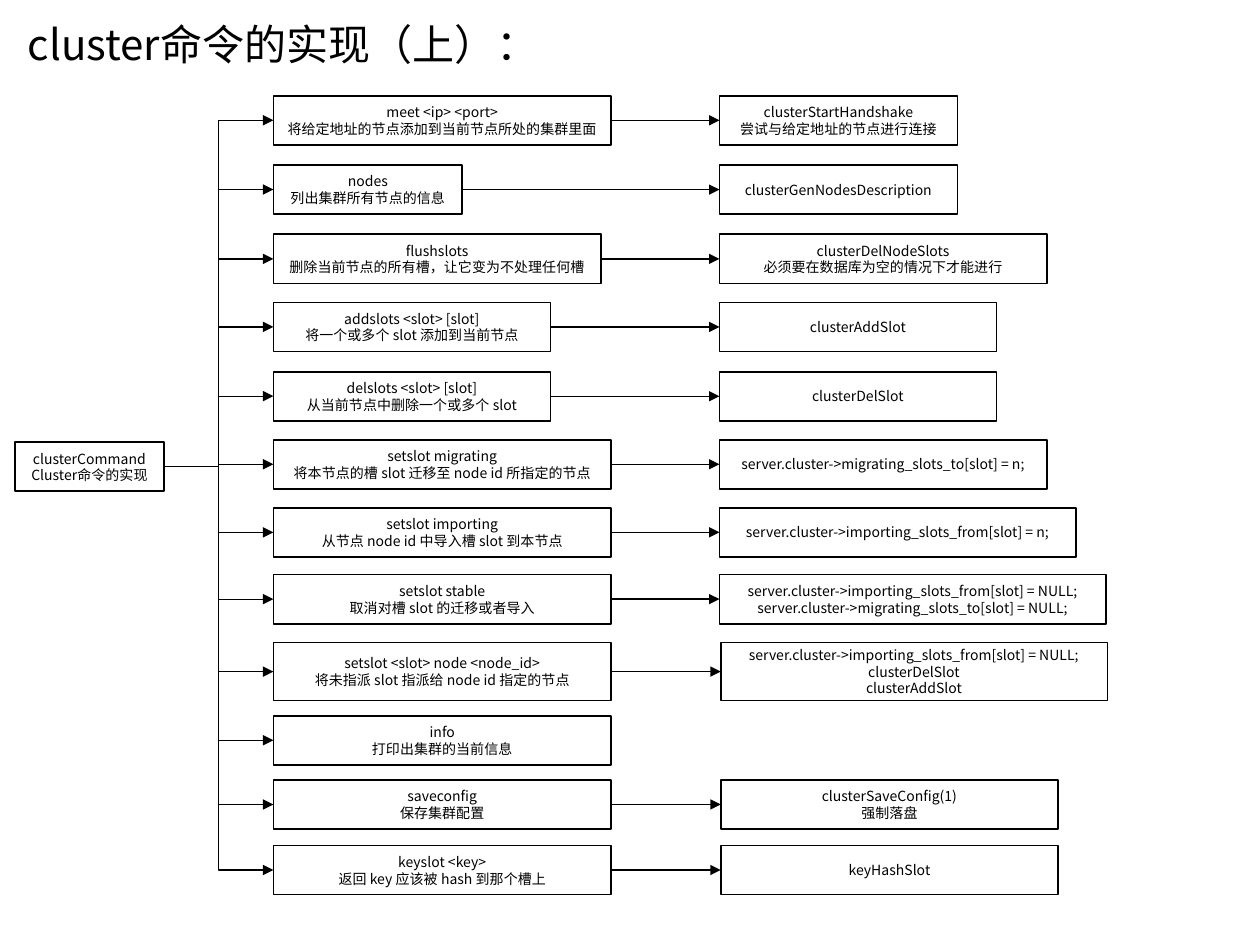
import pptx
import pptx.util
import pptx.dml.color
import pptx.enum.shapes
import pptx.enum.text
import pptx.oxml.ns
from dataclasses import dataclass
from lxml import etree
from pptx.shapes.autoshape import Shape
from pptx.slide import Slide

BLACK = pptx.dml.color.RGBColor(0, 0, 0)
WHITE = pptx.dml.color.RGBColor(255, 255, 255)
FONT = "Noto Sans CJK SC"
UNIT = pptx.util.Inches(0.1)
LEFT, RIGHT = 21.7, 57.1
HIGH, TALL = 3.9, 4.6
WEST, EAST = 1, 3
LINK = pptx.enum.shapes.MSO_CONNECTOR


@dataclass
class Node:
    width: float
    lines: list[str]


@dataclass
class Row:
    top: float
    order: Node
    action: Node | None = None
    high: float = HIGH
    right: float = RIGHT


ROWS = [
    Row(7.6, Node(26.8, ["meet <ip> <port>", "将给定地址的节点添加到当前节点所处的集群里面"]),
        Node(18.9, ["clusterStartHandshake", "尝试与给定地址的节点进行连接"])),
    Row(13.1, Node(15, ["nodes", "列出集群所有节点的信息"]),
        Node(18.9, ["clusterGenNodesDescription"])),
    Row(18.6, Node(26, ["flushslots", "删除当前节点的所有槽，让它变为不处理任何槽"]),
        Node(26, ["clusterDelNodeSlots", "必须要在数据库为空的情况下才能进行"])),
    Row(24, Node(22, ["addslots <slot> [slot]", "将一个或多个 slot 添加到当前节点"]),
        Node(22, ["clusterAddSlot"])),
    Row(29.5, Node(22, ["delslots <slot> [slot]", "从当前节点中删除一个或多个 slot"]),
        Node(22, ["clusterDelSlot"])),
    Row(34.9, Node(26.8, ["setslot migrating", "将本节点的槽 slot 迁移至 node id 所指定的节点"]),
        Node(26, ["server.cluster->migrating_slots_to[slot] = n;"])),
    Row(40.3, Node(26.8, ["setslot importing", "从节点 node id 中导入槽 slot 到本节点"]),
        Node(28.3, ["server.cluster->importing_slots_from[slot] = n;"])),
    Row(45.6, Node(26.8, ["setslot stable", "取消对槽 slot 的迁移或者导入"]),
        Node(30.7, ["server.cluster->importing_slots_from[slot] = NULL;",
                    "server.cluster->migrating_slots_to[slot] = NULL;"])),
    Row(51, Node(26.8, ["setslot <slot> node <node_id>", "将未指派 slot 指派给 node id 指定的节点"]),
        Node(30.7, ["server.cluster->importing_slots_from[slot] = NULL;",
                    "clusterDelSlot", "clusterAddSlot"]), TALL, 57.2),
    Row(56.8, Node(26.8, ["info", "打印出集群的当前信息"])),
    Row(61.9, Node(26.8, ["saveconfig", "保存集群配置"]),
        Node(26.8, ["clusterSaveConfig(1)", "强制落盘"]), right=57.2),
    Row(67.1, Node(26.8, ["keyslot <key>", "返回 key 应该被 hash 到那个槽上"]),
        Node(26.8, ["keyHashSlot"]), right=57.2),
]


def span(count: float) -> pptx.util.Emu:
    return pptx.util.Emu(round(count * UNIT))


def style(para, size: float, align) -> None:
    para.alignment = align
    para.font.size = pptx.util.Pt(size)
    para.font.name = FONT
    para.font.color.rgb = BLACK
    props = para.font._element
    east = etree.SubElement(props, pptx.oxml.ns.qn("a:ea"))
    east.set("typeface", FONT)


def draw_box(slide: Slide, left: float, top: float, high: float, node: Node) -> Shape:
    box = slide.shapes.add_shape(
        pptx.enum.shapes.MSO_SHAPE.RECTANGLE,
        span(left), span(top), span(node.width), span(high))
    box.shadow.inherit = False
    box.fill.solid()
    box.fill.fore_color.rgb = WHITE
    box.line.color.rgb = BLACK
    box.line.width = pptx.util.Pt(1)
    frame = box.text_frame
    frame.margin_left = frame.margin_right = span(0.5)
    frame.vertical_anchor = pptx.enum.text.MSO_ANCHOR.MIDDLE
    frame.text = "\n".join(node.lines)
    for para in frame.paragraphs:
        style(para, 8, pptx.enum.text.PP_ALIGN.CENTER)
    return box


def draw_link(slide: Slide, kind: LINK, start: Shape, end: Shape) -> None:
    link = slide.shapes.add_connector(kind, 0, 0, 0, 0)
    link.begin_connect(start, EAST)
    link.end_connect(end, WEST)
    link.line.color.rgb = BLACK
    link.line.width = pptx.util.Pt(0.75)
    tail = etree.SubElement(link.line._get_or_add_ln(), pptx.oxml.ns.qn("a:tailEnd"))
    tail.set("type", "triangle")
    etree.SubElement(link._element.spPr, pptx.oxml.ns.qn("a:effectLst"))


def draw_title(slide: Slide, text: str) -> None:
    title = slide.shapes.title
    title.left, title.top = span(1.2), span(1)
    title.width, title.height = span(91.3), span(5)
    frame = title.text_frame
    frame.text = text
    frame.word_wrap = True
    frame.auto_size = pptx.enum.text.MSO_AUTO_SIZE.NONE
    frame.vertical_anchor = pptx.enum.text.MSO_ANCHOR.TOP
    style(frame.paragraphs[0], 24, pptx.enum.text.PP_ALIGN.LEFT)


def main() -> None:
    deck = pptx.Presentation()
    deck.slide_width, deck.slide_height = span(100), span(75)
    slide = deck.slides.add_slide(deck.slide_layouts[5])
    draw_title(slide, "cluster命令的实现（上）：")
    root = draw_box(slide, 1.2, 35.1, HIGH, Node(11.8, ["clusterCommand", "Cluster命令的实现"]))
    for row in ROWS:
        order = draw_box(slide, LEFT, row.top, row.high, row.order)
        draw_link(slide, LINK.ELBOW, root, order)
        if row.action:
            action = draw_box(slide, row.right, row.top, row.high, row.action)
            draw_link(slide, LINK.STRAIGHT, order, action)
    deck.save("out.pptx")


if __name__ == "__main__":
    main()
